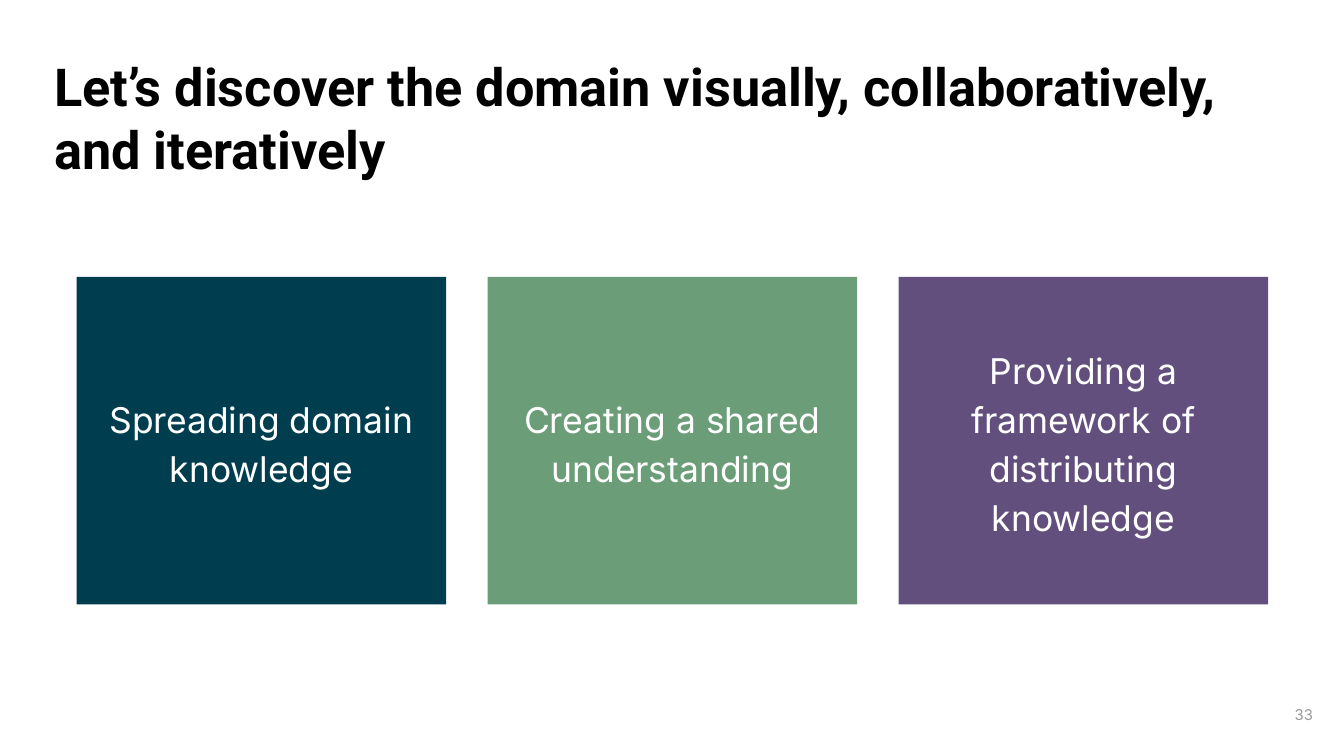
from dataclasses import dataclass

from pptx import Presentation
from pptx.dml.color import RGBColor
from pptx.enum.shapes import MSO_SHAPE
from pptx.enum.text import MSO_ANCHOR, MSO_AUTO_SIZE, PP_ALIGN
from pptx.util import Pt

RECT = MSO_SHAPE.RECTANGLE
TOP, MIDDLE = MSO_ANCHOR.TOP, MSO_ANCHOR.MIDDLE
LEFT, CENTER, RIGHT = PP_ALIGN.LEFT, PP_ALIGN.CENTER, PP_ALIGN.RIGHT
NO_FIT = MSO_AUTO_SIZE.NONE


@dataclass(frozen=True)
class Theme:
    head: str = "Roboto"
    body: str = "Inter"
    black: str = "000000"
    white: str = "FFFFFF"
    gray: str = "999999"
    teal: str = "003D4F"
    green: str = "6B9E78"
    purple: str = "634F7D"
    title_size: int = 28
    card_size: int = 19
    page_size: int = 8


class Deck:
    def __init__(self, slide, theme):
        self.slide = slide
        self.theme = theme

    def label(self, shape, text, font, size, color, align, anchor,
              inset=0, bold=False, spacing=1.0):
        frame = shape.text_frame
        frame.word_wrap = True
        frame.auto_size = NO_FIT
        frame.vertical_anchor = anchor
        frame.margin_left = frame.margin_right = Pt(inset)
        frame.margin_top = frame.margin_bottom = Pt(inset)
        para = frame.paragraphs[0]
        para.alignment = align
        para.line_spacing = spacing
        para.space_before = Pt(0)
        run = para.add_run()
        run.text = text
        run.font.name = font
        run.font.size = Pt(size)
        run.font.bold = bold
        run.font.color.rgb = RGBColor.from_string(color)

    def title(self, text, left, top, width, height):
        shape = self.slide.shapes.title
        shape.left, shape.top = Pt(left), Pt(top)
        shape.width, shape.height = Pt(width), Pt(height)
        look = self.theme
        self.label(shape, text, look.head, look.title_size, look.black,
                   LEFT, TOP, bold=True)

    def card(self, text, fill, left, top, width, height):
        shape = self.slide.shapes.add_shape(
            RECT, Pt(left), Pt(top), Pt(width), Pt(height))
        shape.shadow.inherit = False
        shape.fill.solid()
        shape.fill.fore_color.rgb = RGBColor.from_string(fill)
        shape.line.fill.background()
        look = self.theme
        self.label(shape, text, look.body, look.card_size, look.white,
                   CENTER, MIDDLE, spacing=1.15)

    def page(self, text, left, top, width, height):
        box = self.slide.shapes.add_textbox(
            Pt(left), Pt(top), Pt(width), Pt(height))
        look = self.theme
        self.label(box, text, look.body, look.page_size, look.gray,
                   RIGHT, MIDDLE, inset=7.2)


def main():
    show = Presentation()
    show.slide_width, show.slide_height = Pt(720), Pt(405)
    theme = Theme()
    deck = Deck(show.slides.add_slide(show.slide_layouts[5]), theme)

    deck.page("33", 667.4, 367.2, 43.2, 31)
    deck.title("Let’s discover the domain visually, collaboratively, "
               "and iteratively", 29, 29, 638, 76)

    cards = [
        ("Spreading domain knowledge", theme.teal),
        ("Creating a shared understanding", theme.green),
        ("Providing a framework of distributing knowledge", theme.purple),
    ]
    width, gap = 198, 22.2
    for i, (text, fill) in enumerate(cards):
        deck.card(text, fill, 41 + i * (width + gap), 148.3, width, 175.5)

    show.save("out.pptx")


if __name__ == "__main__":
    main()
